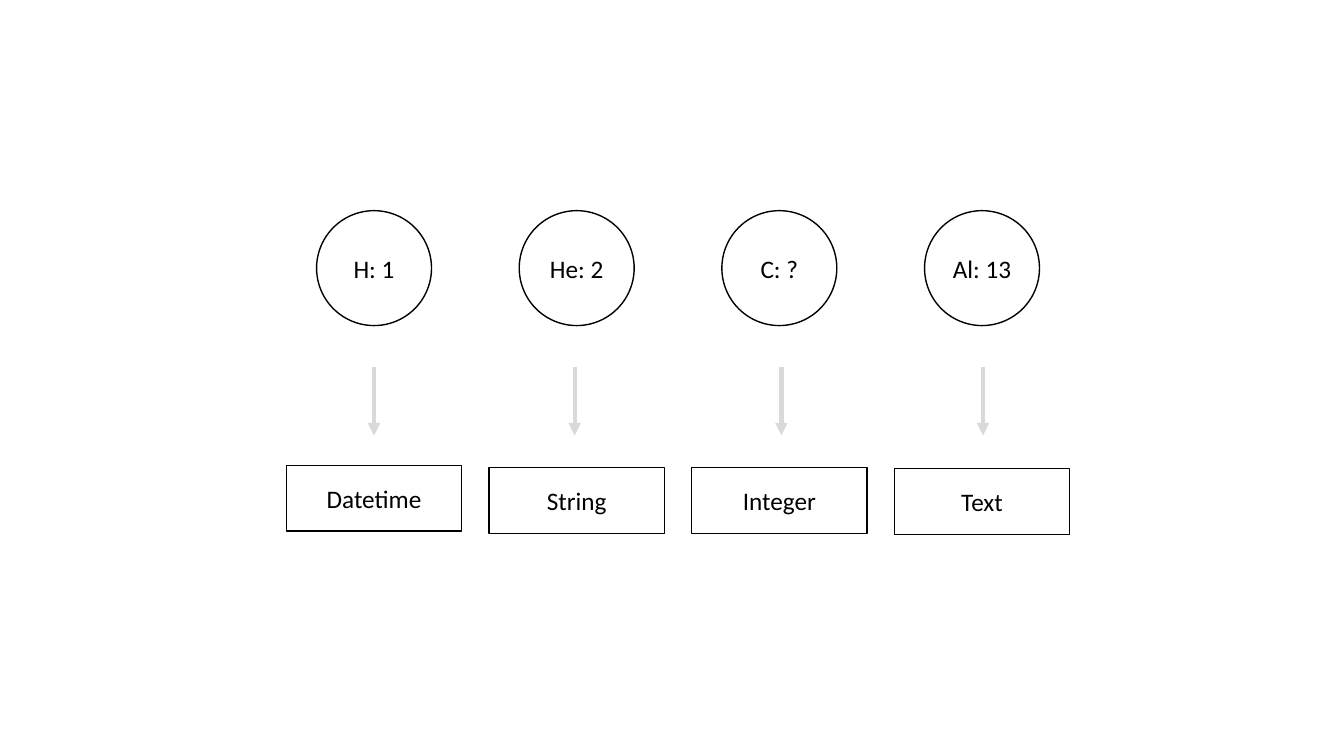
from pptx import Presentation
from pptx.dml.color import RGBColor
from pptx.enum.shapes import MSO_CONNECTOR as Link, MSO_SHAPE as Shape
from pptx.enum.text import MSO_ANCHOR as Anchor, PP_ALIGN as Align
from pptx.oxml.ns import qn
from pptx.util import Inches, Pt
from lxml import etree

COLORS = {"fill": "FFFFFF", "ink": "000000", "arrow": "D9D9D9"}
FONT = "Calibri"

# Columns: element, data type, arrow centre, box top
COLUMNS = [
    ("H: 1", "Datetime", 3.71, 4.62),
    ("He: 2", "String", 5.7, 4.64),
    ("C: ?", "Integer", 7.75, 4.64),
    ("Al: 13", "Text", 9.75, 4.65),
]
FIRST, STEP = 3.71, 2.01  # column centres
DISC, DISC_TOP = 1.14, 2.09
BOX_W, BOX_H = 1.74, 0.65
ARROW_TOP, ARROW_END = 3.64, 4.32


def color(name):
    return RGBColor.from_string(COLORS[name])


def add_node(slide, kind, text, mid, top, width, height):
    """Add an outlined shape with a centred label."""
    node = slide.shapes.add_shape(
        kind, Inches(mid - width / 2), Inches(top), Inches(width), Inches(height))
    node.shadow.inherit = False
    node.fill.solid()
    node.fill.fore_color.rgb = color("fill")
    node.line.color.rgb = color("ink")
    node.line.width = Pt(1)
    frame = node.text_frame
    frame.text = text
    frame.word_wrap = True
    frame.vertical_anchor = Anchor.MIDDLE
    label = frame.paragraphs[0]
    label.alignment = Align.CENTER
    font = label.runs[0].font
    font.name, font.size = FONT, Pt(18)
    font.color.rgb = color("ink")


def add_arrow(slide, x):
    """Add a downward arrow."""
    arrow = slide.shapes.add_connector(
        Link.STRAIGHT, Inches(x), Inches(ARROW_TOP), Inches(x), Inches(ARROW_END))
    arrow.line.color.rgb = color("arrow")
    arrow.line.width = Pt(3)
    etree.SubElement(arrow.line._get_or_add_ln(), qn("a:tailEnd"), type="triangle")
    etree.SubElement(arrow._element.spPr, qn("a:effectLst"))


def main():
    deck = Presentation()
    deck.slide_width, deck.slide_height = Inches(13.33), Inches(7.5)
    slide = deck.slides.add_slide(deck.slide_layouts[6])

    # Each element points down to its data type
    for i, (name, kind, x, top) in enumerate(COLUMNS):
        mid = FIRST + i * STEP
        add_node(slide, Shape.OVAL, name, mid, DISC_TOP, DISC, DISC)
        add_node(slide, Shape.RECTANGLE, kind, mid, top, BOX_W, BOX_H)
        add_arrow(slide, x)

    deck.save("out.pptx")


if __name__ == "__main__":
    main()
